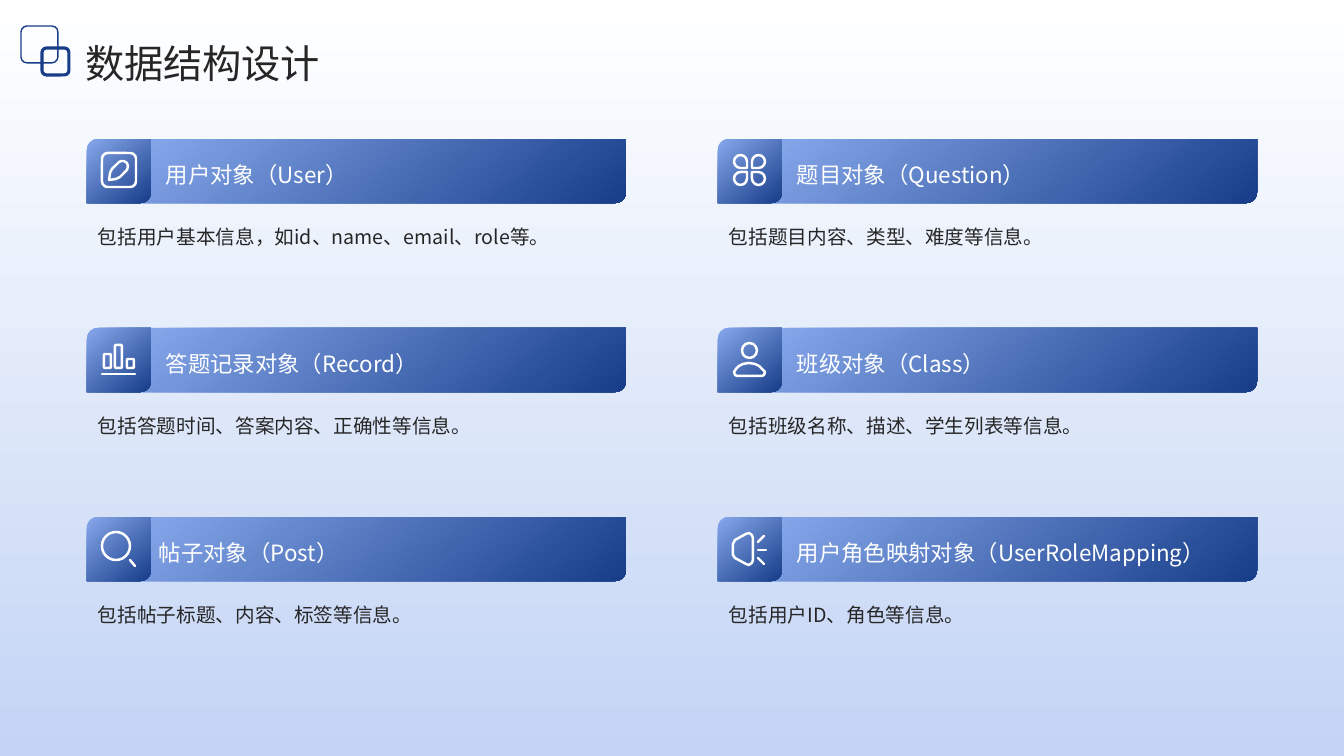
from lxml import etree
from pptx import Presentation
from pptx.dml.color import RGBColor
from pptx.enum.shapes import MSO_CONNECTOR, MSO_SHAPE
from pptx.enum.text import MSO_ANCHOR
from pptx.oxml.ns import qn
from pptx.util import Pt

PX = 12192000 / 1344
FONT = "Noto Sans CJK SC"
WHITE = RGBColor(0xFF, 0xFF, 0xFF)
PALE_BLUE = RGBColor(0xC3, 0xD4, 0xF5)
LIGHT_BLUE = RGBColor(0x87, 0xA8, 0xEB)
NAVY = RGBColor(0x17, 0x3D, 0x89)
INK = RGBColor(0x26, 0x26, 0x26)

RECT = MSO_SHAPE.RECTANGLE
ROUND = MSO_SHAPE.ROUNDED_RECTANGLE
DIAGONAL = MSO_SHAPE.ROUND_2_DIAG_RECTANGLE
OVAL = MSO_SHAPE.OVAL
TEAR = MSO_SHAPE.TEAR
STRAIGHT = MSO_CONNECTOR.STRAIGHT
TOP, MIDDLE = MSO_ANCHOR.TOP, MSO_ANCHOR.MIDDLE

TILE = 64
ICON_LINE = 1.75

# Icon strokes in px within the tile: presets (shape, x, y, w, h, rotation),
# closed outlines (points) and straight lines (x1, y1, x2, y2)
PENCIL = {
    "presets": [(ROUND, 15, 14, 34, 34, 0)],
    "outlines": [[(22, 41), (23, 34), (25, 30), (32, 23), (34, 22), (37, 22), (40, 24),
                  (41, 27), (40, 31), (33, 38), (29, 40)]],
}
CLOVER = {
    "presets": [(TEAR, 16, 16, 13, 13, 90), (TEAR, 34, 16, 13, 13, 180),
                (TEAR, 16, 33, 13, 13, 0), (TEAR, 34, 33, 13, 13, 270)],
}
BARS = {
    "presets": [(ROUND, 17, 26, 7, 14, 0), (ROUND, 28, 17, 7, 23, 0), (ROUND, 40, 31, 7, 9, 0)],
    "lines": [(15, 46, 48, 46)],
}
PERSON = {
    "presets": [(OVAL, 24, 15, 15, 15, 0)],
    "outlines": [[(16, 44), (18, 41), (21, 38), (25, 36), (31, 35), (37, 36), (41, 38),
                  (44, 41), (47, 44), (46, 47), (44, 48), (19, 48), (17, 47)]],
}
SEARCH = {
    "presets": [(OVAL, 15, 15, 28, 28, 0)],
    "lines": [(43, 43, 48, 49)],
}
SPEAKER = {
    "outlines": [[(15, 27), (17, 23), (28, 17), (31, 16), (34, 18), (35, 21), (35, 43),
                  (34, 46), (31, 48), (28, 47), (17, 41), (15, 38)]],
    "lines": [(40, 41, 46, 47), (40, 33, 48, 33), (40, 25, 46, 19)],
}

# Icon, heading, heading offset, description
CARDS = [
    (PENCIL, "用户对象（User）", 79, "包括用户基本信息，如id、name、email、role等。"),
    (CLOVER, "题目对象（Question）", 79, "包括题目内容、类型、难度等信息。"),
    (BARS, "答题记录对象（Record）", 79, "包括答题时间、答案内容、正确性等信息。"),
    (PERSON, "班级对象（Class）", 79, "包括班级名称、描述、学生列表等信息。"),
    (SEARCH, "帖子对象（Post）", 72, "包括帖子标题、内容、标签等信息。"),
    (SPEAKER, "用户角色映射对象（UserRoleMapping）", 79, "包括用户ID、角色等信息。"),
]


def px(*lengths):
    return [round(n * PX) for n in lengths]


def add_gradient(s, kind, x, y, w, h, start, end, angle):
    sp = s.shapes.add_shape(kind, *px(x, y, w, h))
    sp.shadow.inherit = False
    sp.line.fill.background()
    sp.fill.gradient()
    sp.fill.gradient_angle = 360 - angle
    for stop, color in zip(sp.fill.gradient_stops, (start, end)):
        stop.color.rgb = color


def set_outline(sp, color, width):
    sp.shadow.inherit = False
    sp.fill.background()
    sp.line.color.rgb = color
    sp.line.width = Pt(width)


def add_text(s, x, y, w, h, text, size, color, spacing, anchor=TOP):
    tf = s.shapes.add_textbox(*px(x, y, w, h)).text_frame
    tf.word_wrap = True
    tf.vertical_anchor = anchor
    tf.margin_left = tf.margin_right = tf.margin_top = tf.margin_bottom = 0
    p = tf.paragraphs[0]
    p.text = text
    p.line_spacing = spacing
    p.font.size = Pt(size)
    p.font.color.rgb = color
    p.font.name = FONT
    props = p._p.pPr.find(qn("a:defRPr"))
    etree.SubElement(props, qn("a:ea")).set("typeface", FONT)


def add_icon(s, x, y, icon):
    for kind, dx, dy, w, h, rotation in icon.get("presets", []):
        sp = s.shapes.add_shape(kind, *px(x + dx, y + dy, w, h))
        sp.rotation = rotation
        set_outline(sp, WHITE, ICON_LINE)
    for outline in icon.get("outlines", []):
        points = [(x + dx, y + dy) for dx, dy in outline]
        builder = s.shapes.build_freeform(*points[0], scale=PX)
        builder.add_line_segments(points[1:], close=True)
        set_outline(builder.convert_to_shape(), WHITE, ICON_LINE)
    for x1, y1, x2, y2 in icon.get("lines", []):
        line = s.shapes.add_connector(STRAIGHT, *px(x + x1, y + y1, x + x2, y + y2))
        line.line.color.rgb = WHITE
        line.line.width = Pt(ICON_LINE)
        props = line._element.spPr
        props.find(qn("a:ln")).set("cap", "rnd")
        etree.SubElement(props, qn("a:effectLst"))


def add_header(s, x, y, w, h):
    add_text(s, x + 64, y - 1, w - 64, h, "数据结构设计", 28, INK, 1.3)
    for dx, dy, size, width in [(0, 0, 37, 1), (21, 22, 27, 2.25)]:
        sp = s.shapes.add_shape(ROUND, *px(x + dx, y + dy, size, size))
        set_outline(sp, NAVY, width)


def add_card(s, x, y, w, icon, heading, heading_dx, description):
    # Bar and icon tile
    for dx, width in [(51, w - 51), (0, TILE)]:
        add_gradient(s, DIAGONAL, x + dx, y, width, TILE, LIGHT_BLUE, NAVY, 50)
    add_icon(s, x, y, icon)
    # Texts
    add_text(s, x + heading_dx, y + 9, 451, 40, heading, 16, WHITE, 1.5, MIDDLE)
    add_text(s, x + 11, y + 74, 516, 95, description, 14, INK, 1.5)


def main():
    prs = Presentation()
    prs.slide_width, prs.slide_height = px(1344, 756)
    s = prs.slides.add_slide(prs.slide_layouts[6])
    add_gradient(s, RECT, 0, 0, 1344, 756, WHITE, PALE_BLUE, 90)
    add_header(s, 21, 26, 1208, 59)
    # Cards in two columns
    for i, card in enumerate(CARDS):
        row, col = divmod(i, 2)
        add_card(s, 87 + col * 631, 139 + row * 189, 539, *card)
    prs.save("out.pptx")


if __name__ == "__main__":
    main()
